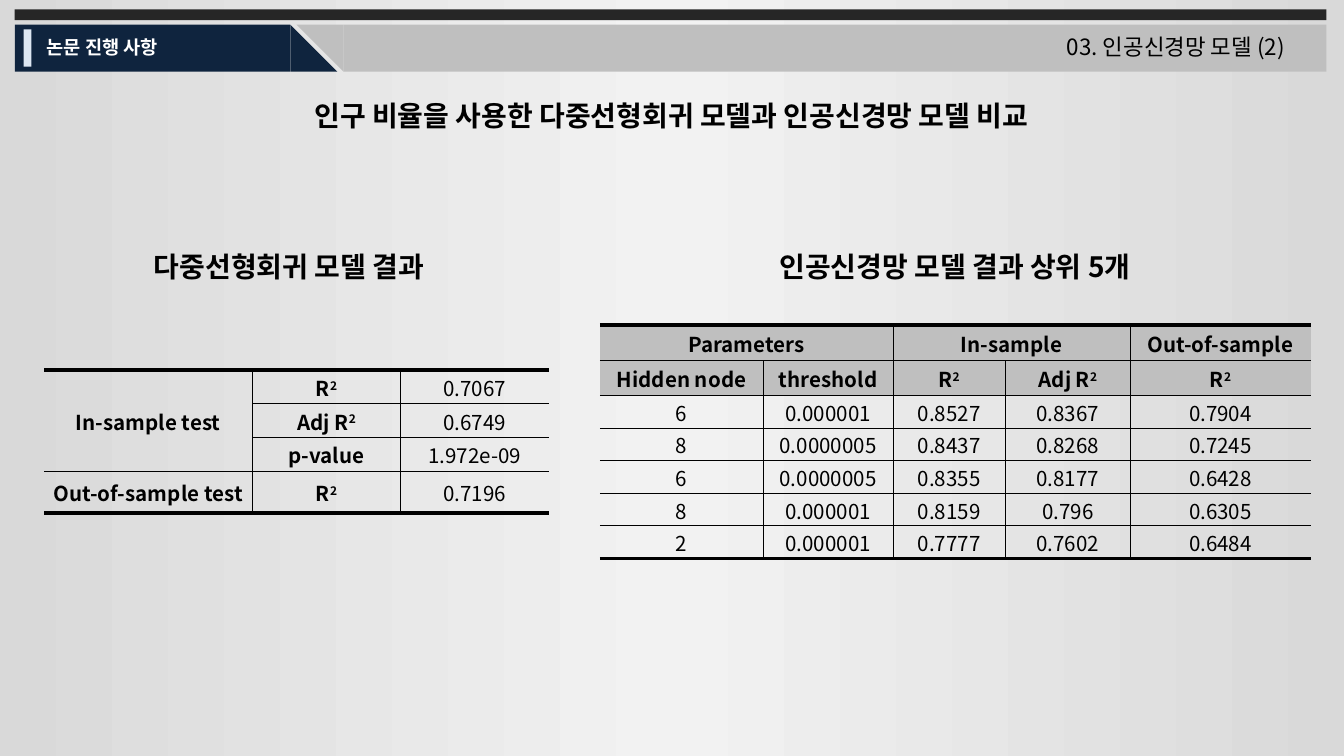
from copy import deepcopy
from dataclasses import dataclass

from lxml import etree
from pptx import Presentation
from pptx.dml.color import RGBColor
from pptx.enum.shapes import MSO_SHAPE
from pptx.enum.text import MSO_ANCHOR, MSO_AUTO_SIZE, PP_ALIGN
from pptx.oxml.ns import qn
from pptx.util import Pt

RECTANGLE, TRIANGLE = MSO_SHAPE.RECTANGLE, MSO_SHAPE.RIGHT_TRIANGLE
LEFT, CENTER = PP_ALIGN.LEFT, PP_ALIGN.CENTER
TOP, MIDDLE = MSO_ANCHOR.TOP, MSO_ANCHOR.MIDDLE
FIT_SHAPE = MSO_AUTO_SIZE.SHAPE_TO_FIT_TEXT

FONT = "Noto Sans CJK KR"
NO_STYLE = "{2D5ABB26-0587-4C30-8999-92F81FD0307C}"
THICK, THIN = 2.25, 0.28
COLORS = {
    "edge": "D9D9D9", "middle": "F2F2F2", "bar": "262626", "navy": "0F243E",
    "gray": "BFBFBF", "accent": "DCE6F2", "text": "000000", "white": "FFFFFF",
}


@dataclass
class Block:
    kind: int
    left: float
    top: float
    width: float
    height: float
    color: str
    rotation: int = 0


@dataclass
class Label:
    text: str
    left: float
    top: float
    width: float
    height: float
    size: float = 15
    bold: bool = True
    color: str = "text"
    align: int = CENTER
    wrap: bool = True


@dataclass
class Grid:
    left: float
    top: float
    columns: list[float]
    rows: list[float]
    values: list[list[str]]
    merges: list[tuple[int, int, int, int]]
    header_rows: int = 0
    header_columns: int = 0


BLOCKS = [
    Block(RECTANGLE, 7.9, 5, 702.7, 5.8, "bar"),
    Block(RECTANGLE, 7.9, 13.2, 147.6, 25.2, "navy"),
    Block(TRIANGLE, 155.5, 13.2, 25.2, 25.2, "navy"),
    Block(RECTANGLE, 184, 13.2, 526.6, 25.2, "gray"),
    Block(TRIANGLE, 158.8, 13.2, 25.2, 25.2, "gray", 180),
    Block(RECTANGLE, 12.7, 15.7, 4.2, 20, "accent"),
]
TITLE = Label("인구 비율을 사용한 다중선형회귀 모델과 인공신경망 모델 비교", 129, 49, 461.5, 25.2)
LABELS = [
    Label("논문 진행 사항", 18, 15.8, 81.4, 19.4, 10, color="white", align=LEFT),
    Label("다중선형회귀 모델 결과", 67, 130.3, 175.7, 25.2),
    Label("인공신경망 모델 결과 상위 5개", 398.2, 130.3, 226.8, 25.2),
    Label("03. 인공신경망 모델 (2)", 564.5, 14.4, 146.9, 21.6, 12, False, align=LEFT, wrap=False),
]
# A caret in a cell text starts a superscript
GRIDS = [
    Grid(321.4, 174.2, [87.6, 69.4, 60.2, 67, 96.6], [19, 18.5] + [17.5] * 5, [
        ["Parameters", "", "In-sample", "", "Out-of-sample"],
        ["Hidden node", "threshold", "R^2", "Adj R^2", "R^2"],
        ["6", "0.000001", "0.8527", "0.8367", "0.7904"],
        ["8", "0.0000005", "0.8437", "0.8268", "0.7245"],
        ["6", "0.0000005", "0.8355", "0.8177", "0.6428"],
        ["8", "0.000001", "0.8159", "0.796", "0.6305"],
        ["2", "0.000001", "0.7777", "0.7602", "0.6484"],
    ], [(0, 0, 0, 1), (0, 2, 0, 3)], header_rows=2),
    Grid(23.6, 198.2, [111.6, 79.4, 79.4], [18, 18, 18, 22.8], [
        ["In-sample test", "R^2", "0.7067"],
        ["", "Adj R^2", "0.6749"],
        ["", "p-value", "1.972e-09"],
        ["Out-of-sample test", "R^2", "0.7196"],
    ], [(0, 0, 2, 0)], header_columns=2),
]


def rgb(name: str) -> RGBColor:
    return RGBColor.from_string(COLORS[name])


def format_paragraph(paragraph, size: float, bold: bool, color: str, align: int) -> None:
    paragraph.alignment = align
    font = paragraph.font
    font.size, font.bold, font.name = Pt(size), bold, FONT
    font.color.rgb = rgb(color)
    latin = paragraph._p.find(".//" + qn("a:latin"))
    latin.addnext(latin.makeelement(qn("a:ea"), {"typeface": FONT}))


def paint_background(slide) -> None:
    fill = slide.background.fill
    fill.gradient()
    fill.gradient_angle = 0
    stop_list = slide.element.find(".//" + qn("a:gsLst"))
    stop_list.insert(1, deepcopy(stop_list[0]))
    for index, name in enumerate(("edge", "middle", "edge")):
        stop = fill.gradient_stops[index]
        stop.position = index / 2
        stop.color.rgb = rgb(name)


def draw_block(slide, block: Block) -> None:
    shape = slide.shapes.add_shape(
        block.kind, Pt(block.left), Pt(block.top), Pt(block.width), Pt(block.height))
    shape.shadow.inherit = False
    shape.fill.solid()
    shape.fill.fore_color.rgb = rgb(block.color)
    shape.line.fill.background()
    shape.rotation = block.rotation


def fill_label(shape, label: Label) -> None:
    shape.left, shape.top = Pt(label.left), Pt(label.top)
    shape.width, shape.height = Pt(label.width), Pt(label.height)
    frame = shape.text_frame
    frame.text = label.text
    frame.word_wrap, frame.auto_size, frame.vertical_anchor = label.wrap, FIT_SHAPE, TOP
    format_paragraph(frame.paragraphs[0], label.size, label.bold, label.color, label.align)


def set_border(cell, side: str, width: float) -> None:
    line = etree.SubElement(cell._tc.get_or_add_tcPr(), qn("a:ln" + side), w=str(Pt(width)))
    if width:
        fill = etree.SubElement(line, qn("a:solidFill"))
        etree.SubElement(fill, qn("a:srgbClr"), val=COLORS["text"])
    else:
        etree.SubElement(line, qn("a:noFill"))


def write_cell(cell, text: str, bold: bool) -> None:
    cell.margin_left = cell.margin_right = cell.margin_top = Pt(0.7)
    cell.margin_bottom = Pt(0)
    cell.vertical_anchor = MIDDLE
    paragraph = cell.text_frame.paragraphs[0]
    format_paragraph(paragraph, 11, bold, "text", CENTER)
    base, _, superscript = text.partition("^")
    if base:
        paragraph.add_run().text = base
    if superscript:
        run = paragraph.add_run()
        run.text = superscript
        run._r.get_or_add_rPr().set("baseline", "30000")


def draw_grid(slide, grid: Grid) -> None:
    last_row, last_column = len(grid.rows) - 1, len(grid.columns) - 1
    frame = slide.shapes.add_table(
        last_row + 1, last_column + 1, Pt(grid.left), Pt(grid.top),
        Pt(sum(grid.columns)), Pt(sum(grid.rows)))
    table = frame.table
    table.first_row = table.horz_banding = False
    table._tbl.tblPr.find(qn("a:tableStyleId")).text = NO_STYLE
    for column, width in zip(table.columns, grid.columns):
        column.width = Pt(width)
    for row, height in zip(table.rows, grid.rows):
        row.height = Pt(height)
    for top, left, bottom, right in grid.merges:
        table.cell(top, left).merge(table.cell(bottom, right))

    for row, texts in enumerate(grid.values):
        for column, text in enumerate(texts):
            cell = table.cell(row, column)
            header = row < grid.header_rows
            write_cell(cell, text, header or column < grid.header_columns)
            # Open sides, heavy rules above and below, hairlines inside
            set_border(cell, "L", THIN if column else 0)
            set_border(cell, "R", THIN if column < last_column else 0)
            set_border(cell, "T", THIN if row else THICK)
            set_border(cell, "B", THIN if row < last_row else THICK)
            if header:
                cell.fill.solid()
                cell.fill.fore_color.rgb = rgb("gray")
            else:
                cell.fill.background()


def main() -> None:
    presentation = Presentation()
    presentation.slide_width, presentation.slide_height = Pt(720), Pt(405)
    slide = presentation.slides.add_slide(presentation.slide_layouts[5])
    paint_background(slide)
    # Header band
    for block in BLOCKS:
        draw_block(slide, block)
    # Title and captions
    fill_label(slide.shapes.title, TITLE)
    for label in LABELS:
        fill_label(slide.shapes.add_textbox(0, 0, 0, 0), label)
    # Result tables
    for grid in GRIDS:
        draw_grid(slide, grid)
    presentation.save("out.pptx")


if __name__ == "__main__":
    main()
